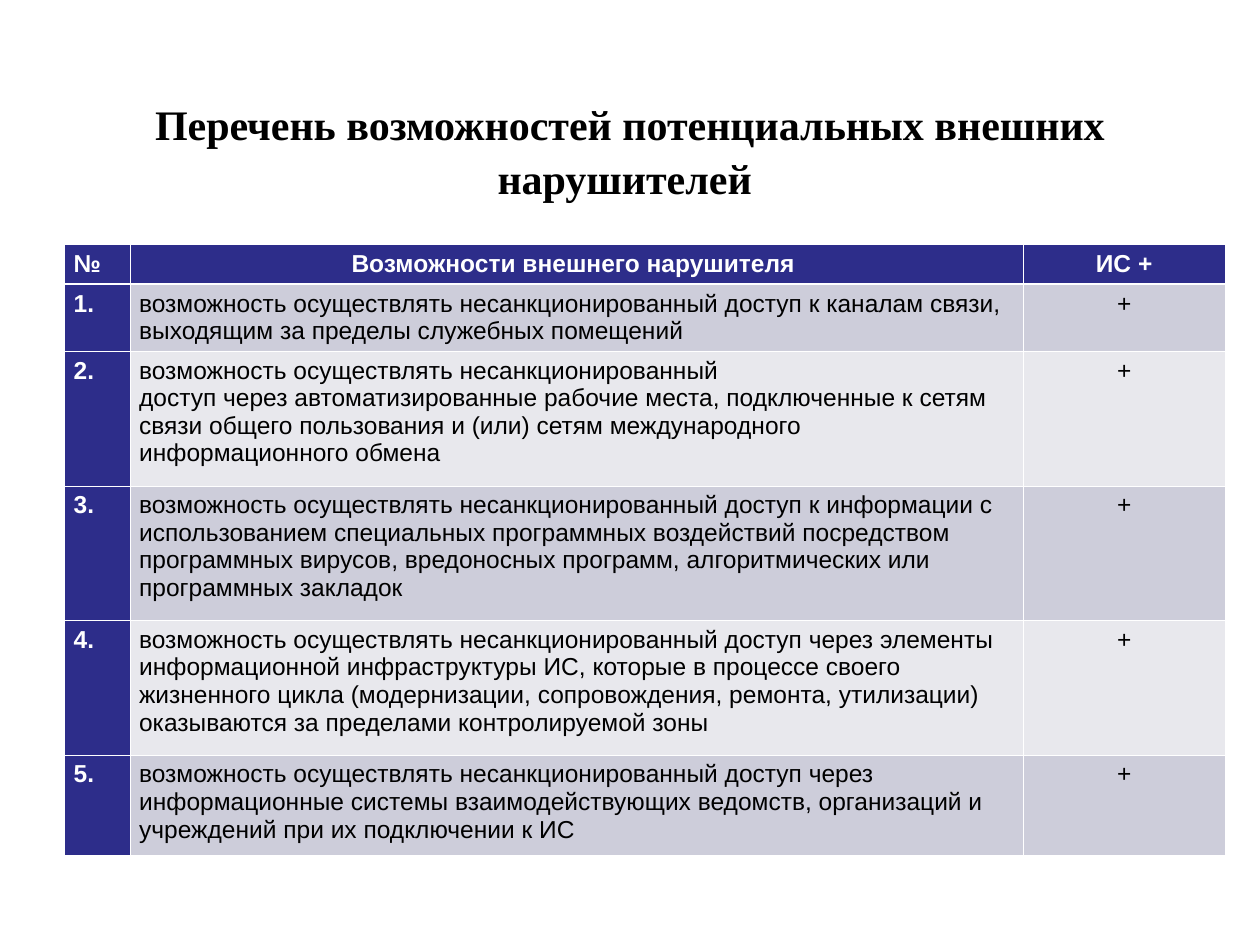
from pptx import Presentation
from pptx.dml.color import RGBColor
from pptx.enum.text import MSO_ANCHOR, PP_ALIGN
from pptx.oxml.ns import qn
from pptx.util import Pt
from lxml.etree import SubElement

BLACK = RGBColor(0x00, 0x00, 0x00)
WHITE = RGBColor(0xFF, 0xFF, 0xFF)
NAVY = RGBColor(0x2D, 0x2D, 0x8A)
DARK = RGBColor(0xCD, 0xCD, 0xDA)
LIGHT = RGBColor(0xE8, 0xE8, 0xED)

TITLE = "Перечень возможностей потенциальных внешних нарушителей "
HEADS = ["№", "Возможности внешнего нарушителя ", "ИС +"]
SKILLS = [
    "возможность осуществлять несанкционированный доступ к каналам связи, "
    "выходящим за пределы служебных помещений",
    "возможность осуществлять несанкционированный\n"
    "доступ через автоматизированные рабочие места, подключенные к сетям "
    "связи общего пользования и (или) сетям международного "
    "информационного обмена",
    "возможность осуществлять несанкционированный доступ к информации с "
    "использованием специальных программных воздействий посредством "
    "программных вирусов, вредоносных программ, алгоритмических или "
    "программных закладок",
    "возможность осуществлять несанкционированный доступ через элементы "
    "информационной инфраструктуры ИС, которые в процессе своего "
    "жизненного цикла (модернизации, сопровождения, ремонта, утилизации) "
    "оказываются за пределами контролируемой зоны",
    "возможность осуществлять несанкционированный доступ через "
    "информационные системы взаимодействующих ведомств, организаций и "
    "учреждений при их подключении к ИС",
]
WIDTHS = [37.4, 510.5, 115.2]
HEIGHTS = [22.4, 38.5, 76.9, 76.9, 76.9, 57.6]
THIN, THICK = 0.45, 1.47


class Deck:
    """Style of the deck and its current slide."""

    head_font, body_font = "Times New Roman", "Arial"
    head_size, body_size = Pt(24), Pt(14)

    def __init__(self):
        self.prs = Presentation()
        self.prs.slide_width, self.prs.slide_height = Pt(720), Pt(540)
        self.slide = self.prs.slides.add_slide(self.prs.slide_layouts[5])

    def style(self, frame, name, size, color, bold, align):
        for para in frame.paragraphs:
            para.alignment = align
            for run in para.runs:
                font = run.font
                font.name, font.size, font.bold = name, size, bold
                font.color.rgb = color

    def title(self, text, left, top, width, height):
        box = self.slide.shapes.title
        box.left, box.top = Pt(left), Pt(top)
        box.width, box.height = Pt(width), Pt(height)
        frame = box.text_frame
        frame.text = text
        frame.vertical_anchor = MSO_ANCHOR.MIDDLE
        frame.paragraphs[0].line_spacing = 1.06
        self.style(frame, self.head_font, self.head_size, BLACK, True,
                   PP_ALIGN.CENTER)

    def border(self, cell, side, width):
        line = SubElement(cell._tc.get_or_add_tcPr(), qn(f"a:ln{side}"),
                          w=str(Pt(width)))
        fill = SubElement(line, qn("a:solidFill"))
        SubElement(fill, qn("a:srgbClr"), val=str(WHITE))

    def cell(self, cell, text, row, col):
        # Header row and number column share the navy style
        strong = row == 0 or col == 0
        cell.text_frame.text = text
        cell.margin_left = cell.margin_right = Pt(5.2)
        cell.margin_top = cell.margin_bottom = Pt(3.3)
        centred = col == 2 or (row == 0 and col == 1)
        self.style(cell.text_frame, self.body_font, self.body_size,
                   WHITE if strong else BLACK, strong,
                   PP_ALIGN.CENTER if centred else PP_ALIGN.LEFT)
        # Borders precede the fill in the cell properties
        for side in "LRTB":
            rule = (row, side) in ((0, "B"), (1, "T"))
            self.border(cell, side, THICK if rule else THIN)
        cell.fill.solid()
        cell.fill.fore_color.rgb = (
            NAVY if strong else DARK if row % 2 else LIGHT)

    def table(self, rows, left, top, widths, heights):
        grid = self.slide.shapes.add_table(
            len(rows), len(widths), Pt(left), Pt(top),
            Pt(sum(widths)), Pt(sum(heights))).table
        for col, width in zip(grid.columns, widths):
            col.width = Pt(width)
        for line, height in zip(grid.rows, heights):
            line.height = Pt(height)
        for r, texts in enumerate(rows):
            for c, text in enumerate(texts):
                self.cell(grid.cell(r, c), text, r, c)


def main():
    deck = Deck()

    # Heading
    deck.title(TITLE, 36, 43.2, 648, 84.2)

    # Table of capabilities
    rows = [HEADS] + [[f"{n}.", text, "+"]
                      for n, text in enumerate(SKILLS, 1)]
    deck.table(rows, 36.9, 139.9, WIDTHS, HEIGHTS)

    deck.prs.save("out.pptx")


if __name__ == "__main__":
    main()
